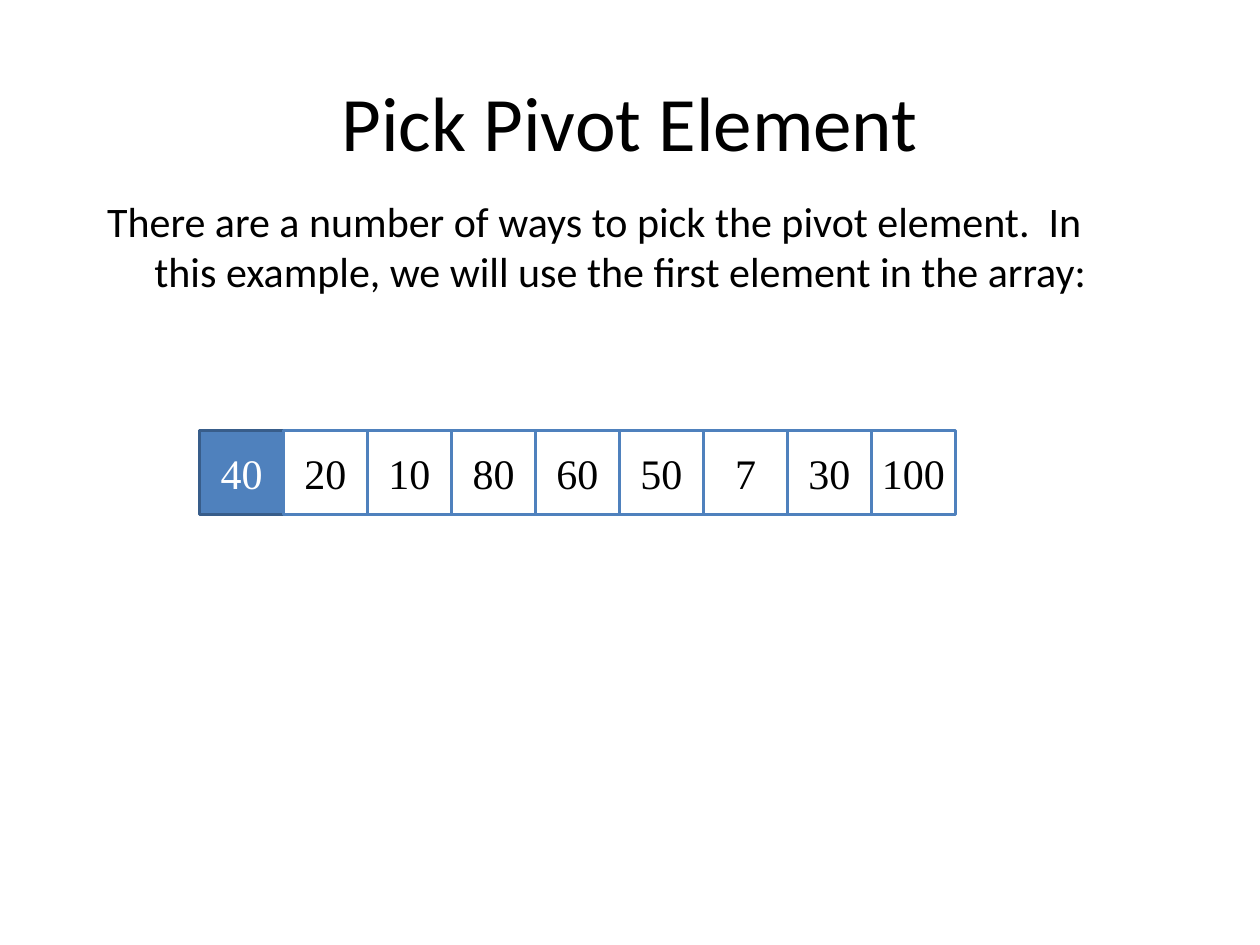
from pptx import Presentation
from pptx.dml.color import RGBColor
from pptx.enum.shapes import MSO_SHAPE as Shape
from pptx.enum.text import MSO_ANCHOR as Anchor, MSO_AUTO_SIZE as Fit, PP_ALIGN as Align
from pptx.oxml.ns import qn
from pptx.util import Pt

BLACK = RGBColor(0x00, 0x00, 0x00)
WHITE = RGBColor(0xFF, 0xFF, 0xFF)
BLUE = RGBColor(0x4F, 0x81, 0xBD)
NAVY = RGBColor(0x38, 0x5D, 0x8A)
SANS, SERIF = "Calibri", "Times New Roman"

TITLE = "Pick Pivot Element"
INTRO = ("There are a number of ways to pick the pivot element.  In this "
         "example, we will use the first element in the array:")
ARRAY = [40, 20, 10, 80, 60, 50, 7, 30, 100]
PIVOT = 0


def place(shape, box):
    shape.left, shape.top, shape.width, shape.height = map(Pt, box)


def add_run(para, text, size, face, color):
    run = para.add_run()
    run.text = text
    font = run.font
    font.size, font.name, font.color.rgb = Pt(size), face, color


def add_title(slide, box):
    title = slide.shapes.title
    place(title, box)
    frame = title.text_frame
    frame.vertical_anchor = Anchor.MIDDLE
    para = frame.paragraphs[0]
    para.alignment = Align.CENTER
    add_run(para, TITLE, 44, SANS, BLACK)


def add_intro(slide, box):
    """Fill the body with one unbulleted paragraph on a hanging indent."""
    body = slide.placeholders[1]
    place(body, box)
    frame = body.text_frame
    frame.auto_size = Fit.NONE
    para = frame.paragraphs[0]
    props = para._p.get_or_add_pPr()
    props.set("marL", str(Pt(27)))
    props.set("indent", str(Pt(-27)))
    props.append(props.makeelement(qn("a:buNone"), {}))
    para.space_before = Pt(0)
    add_run(para, INTRO, 24, SANS, BLACK)


def add_cell(group, box, value, fill, line, color):
    cell = group.shapes.add_shape(Shape.RECTANGLE, *map(Pt, box))
    cell.shadow.inherit = False
    cell.fill.solid()
    cell.fill.fore_color.rgb = fill
    cell.line.color.rgb = line
    cell.line.width = Pt(2)
    frame = cell.text_frame
    frame.word_wrap = False
    frame.vertical_anchor = Anchor.MIDDLE
    para = frame.paragraphs[0]
    para.alignment = Align.CENTER
    add_run(para, str(value), 24, SERIF, color)


def add_array(slide, box):
    """Split the box into equal cells and mark the pivot."""
    left, top, width, height = box
    step = width / len(ARRAY)
    group = slide.shapes.add_group_shape()
    for i, value in enumerate(ARRAY):
        style = (BLUE, NAVY, WHITE) if i == PIVOT else (WHITE, BLUE, BLACK)
        add_cell(group, (left + i * step, top, step, height), value, *style)


def main():
    deck = Presentation()
    deck.slide_width, deck.slide_height = Pt(720), Pt(540)
    slide = deck.slides.add_slide(deck.slide_layouts[1])
    add_title(slide, (54, 24, 612, 90))
    add_intro(slide, (54, 108, 612, 324))
    add_array(slide, (114, 246, 432, 48))
    deck.save("out.pptx")


if __name__ == "__main__":
    main()
